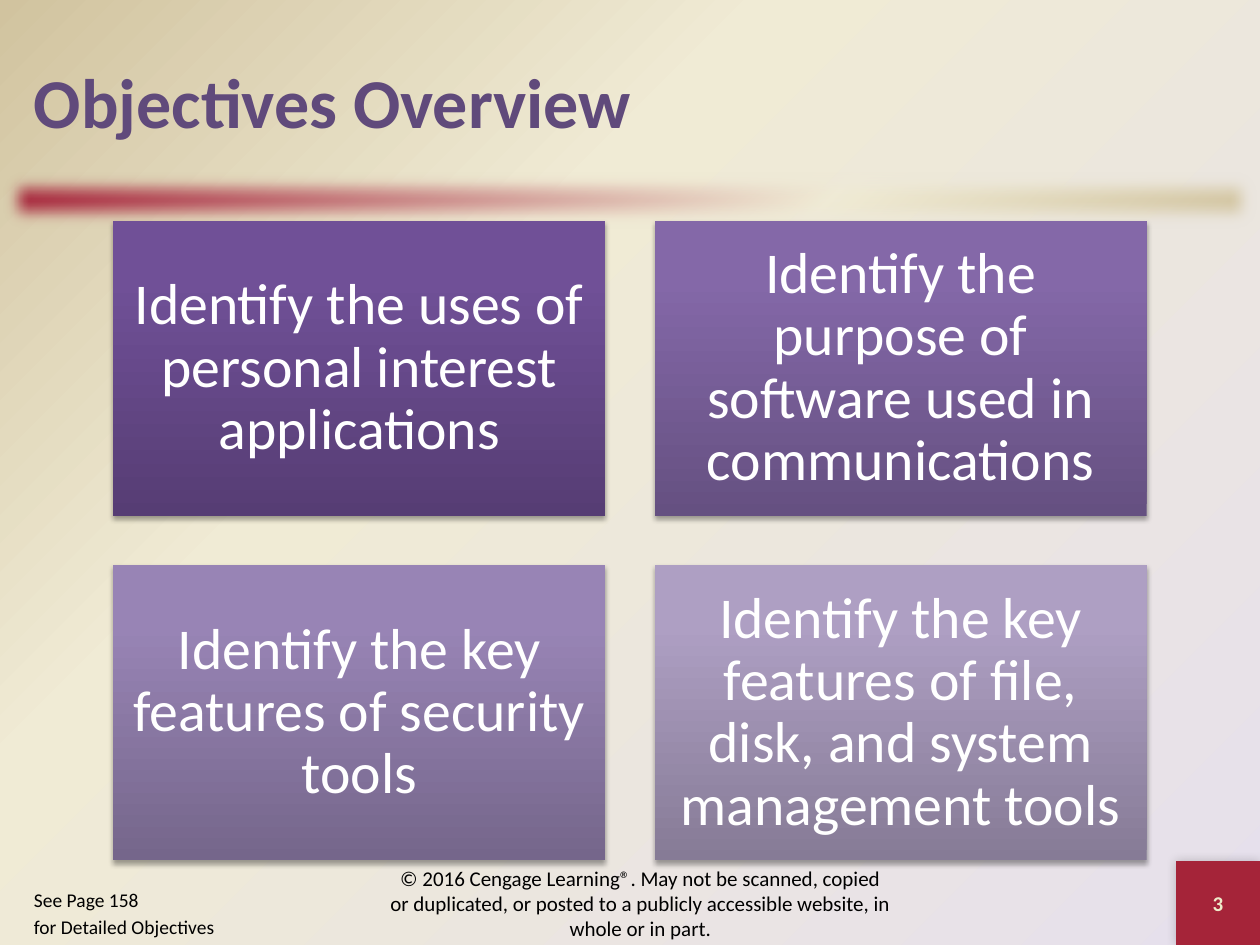
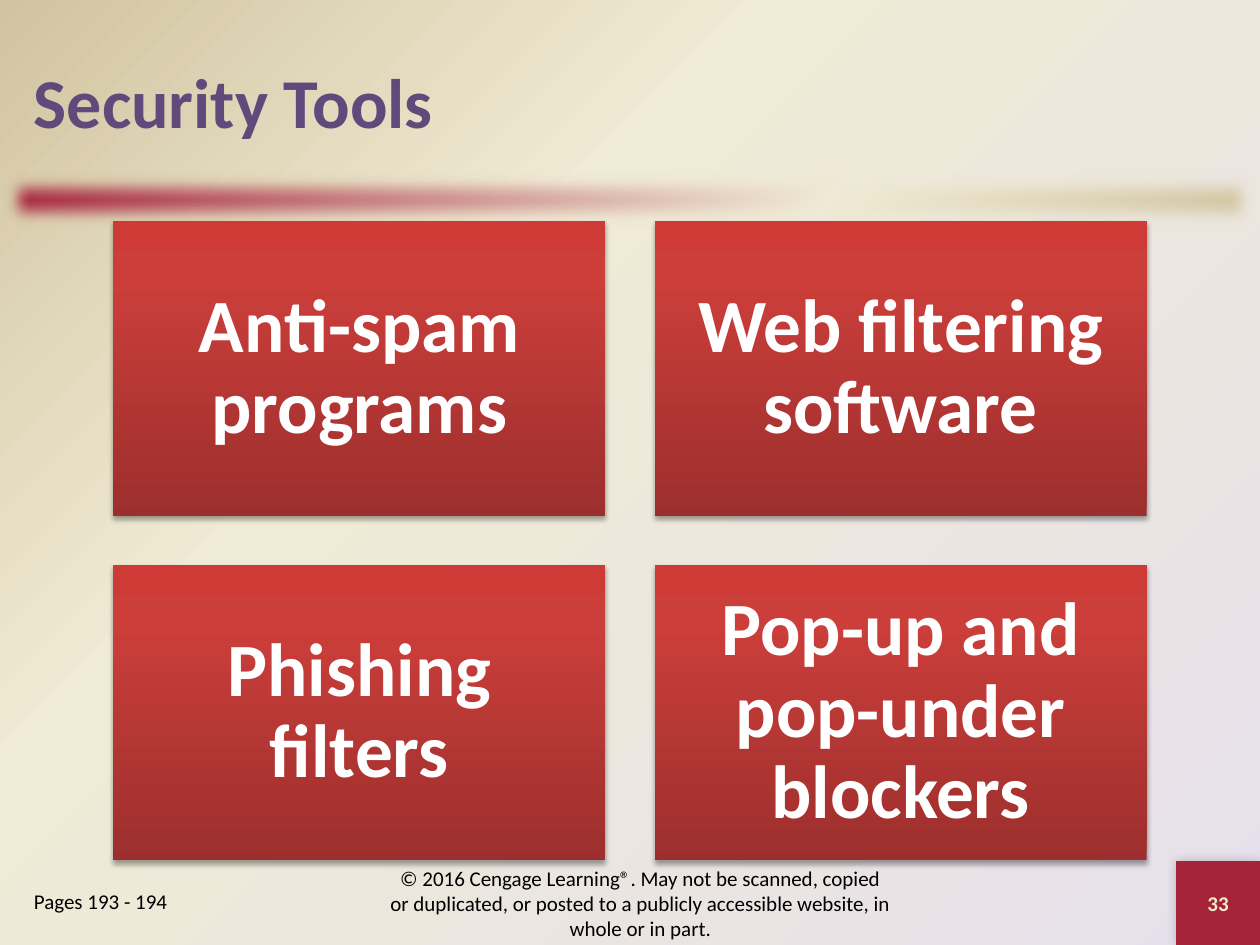
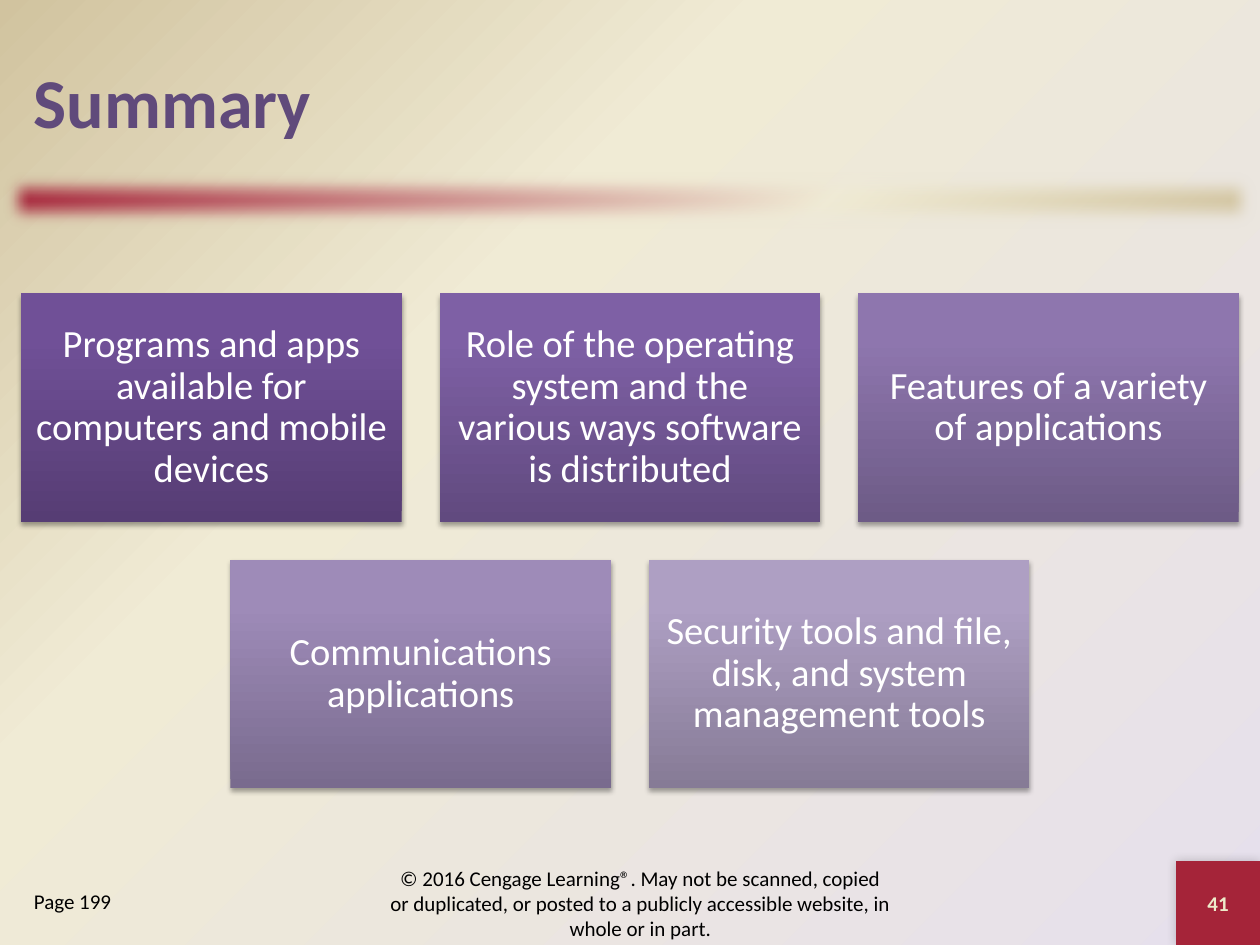
from dataclasses import dataclass
from typing import Optional

from lxml.etree import SubElement
from pptx import Presentation
from pptx.dml.color import RGBColor
from pptx.enum.shapes import MSO_SHAPE
from pptx.enum.text import MSO_ANCHOR, MSO_AUTO_SIZE, PP_ALIGN
from pptx.oxml.ns import qn
from pptx.util import Cm, Pt

Stops = tuple[tuple[int, str], ...]


def tile_stops(bottom: str, middle: str, top: str) -> Stops:
    return ((0, bottom), (80, middle), (100, top))


@dataclass(frozen=True)
class Theme:
    font: str = "Calibri"
    title_color: str = "604A7B"
    accent: str = "A52439"
    number_color: str = "EEEBCA"
    text_color: str = "000000"
    tile_text: str = "FFFFFF"
    title_size: float = 40
    footer_size: float = 12
    background: Stops = ((0, "E6E0EC"), (65, "F0EBD5"), (100, "D1C39F"))
    band: Stops = ((0, "A52439"), (65, "F0EBD5"), (100, "D1C39F"))
    red: Stops = tile_stops("9C2F2D", "CB3E3A", "CE3B37")
    purples: tuple[Stops, ...] = (
        tile_stops("563D74", "705097", "704F99"),
        tile_stops("614A7F", "7E60A5", "7F60A7"),
        tile_stops("655081", "8468A8", "8467AA"),
        tile_stops("6D5B86", "8E76AE", "8E75B0"),
        tile_stops("75668B", "9884B5", "9984B7"),
        tile_stops("796B8E", "9E8BB8", "9E8BBA"),
        tile_stops("867B96", "AE9FC3", "AE9FC4"),
    )


THEME = Theme()
SLIDE_WIDTH, SLIDE_HEIGHT = 25.4, 19.05
TILES_MIDDLE = 10.9
TILE_ASPECT, TILE_GAP, TILE_INSET = 0.6, 0.1, 0.3
CORNER = 1.69
HANGING_INDENT = 0.95
COPYRIGHT = (
    "© 2016 Cengage Learning®. May not be scanned, copied or duplicated, "
    "or posted to a publicly accessible website, in whole or in part."
)


@dataclass(frozen=True)
class Box:
    """Position and size in centimetres."""
    left: float
    top: float
    width: float
    height: float

    def lengths(self) -> tuple[Cm, Cm, Cm, Cm]:
        return Cm(self.left), Cm(self.top), Cm(self.width), Cm(self.height)


@dataclass(frozen=True)
class Shadow:
    opacity: int
    blur: float
    distance: float
    angle: int


TITLE_BOX = Box(0.43, 0.43, 24.55, 3.18)
PAGES_BOX = Box(0.43, 17.78, 4.65, 1.27)
COPYRIGHT_BOX = Box(7.62, 17.57, 10.58, 1.27)
BAND_BOX = Box(0, 3.39, SLIDE_WIDTH, 1.27)
NUMBER_BOX = Box(SLIDE_WIDTH - CORNER, SLIDE_HEIGHT - CORNER, CORNER, CORNER)
TILE_SHADOW = Shadow(35, 3.1, 1.8, 90)
NUMBER_SHADOW = Shadow(20, 6, 0, 225)


@dataclass(frozen=True)
class TileSlide:
    title: str
    number: int
    pages: str
    columns: int
    tile_width: float
    text_size: float
    tiles: tuple[tuple[str, Stops], ...]
    bold: bool = False
    pages_size: float = THEME.footer_size


SLIDES = (
    TileSlide(
        "Objectives Overview", 3, "See Page 158\nfor Detailed Objectives",
        columns=2, tile_width=9.92, text_size=33, pages_size=11.1,
        tiles=(
            ("Identify the uses of personal interest applications", THEME.purples[0]),
            ("Identify the purpose of software used in communications", THEME.purples[2]),
            ("Identify the key features of security tools", THEME.purples[4]),
            ("Identify the key features of file, disk, and system management tools",
             THEME.purples[6]),
        ),
    ),
    TileSlide(
        "Security Tools", 33, "Pages 193 - 194",
        columns=2, tile_width=9.92, text_size=43, bold=True,
        tiles=tuple((text, THEME.red) for text in (
            "Anti-spam programs", "Web filtering software",
            "Phishing filters", "Pop-up and pop-under blockers",
        )),
    ),
    TileSlide(
        "Summary", 41, "Page 199",
        columns=3, tile_width=7.67, text_size=22,
        tiles=(
            ("Programs and apps available for computers and mobile devices",
             THEME.purples[0]),
            ("Role of the operating system and the various ways software is distributed",
             THEME.purples[1]),
            ("Features of a variety of applications", THEME.purples[3]),
            ("Communications applications", THEME.purples[5]),
            ("Security tools and file, disk, and system management tools",
             THEME.purples[6]),
        ),
    ),
)


def apply_gradient(fill, holder, stops: Stops, angle: Optional[int] = None) -> None:
    """Fill with any number of stops: linear at an angle, else round from the lower right."""
    fill.gradient()
    gradient = next(holder.iter(qn("a:gradFill")))
    gradient.clear()
    stop_list = SubElement(gradient, qn("a:gsLst"))
    for position, color in stops:
        stop = SubElement(stop_list, qn("a:gs"), pos=str(position * 1000))
        SubElement(stop, qn("a:srgbClr"), val=color)
    if angle is None:
        circle = SubElement(gradient, qn("a:path"), path="circle")
        SubElement(circle, qn("a:fillToRect"), l="100000", t="100000")
    else:
        SubElement(gradient, qn("a:lin"), ang=str(angle * 60000), scaled="0")


def add_effect(shape, name: str, **attributes: str):
    effects = shape.element.spPr.find(qn("a:effectLst"))
    return SubElement(effects, qn(name), **attributes)


def add_shadow(shape, shadow: Shadow) -> None:
    effect = add_effect(
        shape, "a:outerShdw", blurRad=str(Pt(shadow.blur)),
        dist=str(Pt(shadow.distance)), dir=str(shadow.angle * 60000), rotWithShape="0",
    )
    color = SubElement(effect, qn("a:srgbClr"), val="000000")
    SubElement(color, qn("a:alpha"), val=str(shadow.opacity * 1000))


def add_rectangle(slide, box: Box):
    shape = slide.shapes.add_shape(MSO_SHAPE.RECTANGLE, *box.lengths())
    shape.line.fill.background()
    shape.shadow.inherit = False
    return shape


def write_text(
    shape, text: str, *, size: float, color: str = THEME.text_color,
    bold: bool = False, align: PP_ALIGN = PP_ALIGN.CENTER,
    anchor: MSO_ANCHOR = MSO_ANCHOR.MIDDLE, line_spacing: float = 1.0,
    inset: Optional[float] = None, hanging: float = 0,
) -> None:
    frame = shape.text_frame
    frame.text = text
    frame.word_wrap = True
    frame.auto_size = MSO_AUTO_SIZE.NONE
    frame.vertical_anchor = anchor
    if inset is not None:
        frame.margin_left = frame.margin_right = Pt(inset)
        frame.margin_top = frame.margin_bottom = Pt(inset)
    for index, paragraph in enumerate(frame.paragraphs):
        paragraph.alignment = align
        paragraph.line_spacing = line_spacing
        paragraph.space_before = Pt(round(0.2 * size, 1) if index else 0)
        if hanging:
            properties = paragraph._p.get_or_add_pPr()
            properties.set("marL", str(Cm(hanging)))
            properties.set("indent", str(-Cm(hanging)))
            SubElement(properties, qn("a:buNone"))
        for run in paragraph.runs:
            run.font.name = THEME.font
            run.font.size = Pt(size)
            run.font.bold = bold
            run.font.color.rgb = RGBColor.from_string(color)


def place(shape, box: Box):
    shape.left, shape.top, shape.width, shape.height = box.lengths()
    return shape


def add_text_box(slide, box: Box, text: str, **text_format) -> None:
    write_text(slide.shapes.add_textbox(*box.lengths()), text, **text_format)


def decorate_layout(layout, slide) -> None:
    """Draw the band and number square on a slide, then move them to its layout."""
    apply_gradient(layout.background.fill, layout.element, THEME.background)
    for placeholder in list(layout.placeholders):
        if placeholder.placeholder_format.idx >= 10:
            layout.shapes.element.remove(placeholder.element)

    band = add_rectangle(slide, BAND_BOX)
    apply_gradient(band.fill, band.element, THEME.band, 45)
    add_effect(band, "a:softEdge", rad=str(Pt(10)))

    square = add_rectangle(slide, NUMBER_BOX)
    square.fill.solid()
    square.fill.fore_color.rgb = RGBColor.from_string(THEME.accent)
    add_shadow(square, NUMBER_SHADOW)

    for shape in (square, band):
        layout.shapes.element.insert(2, shape.element)


def add_tiles(slide, content: TileSlide) -> None:
    """Lay out rows of tiles, each row centred, the whole block centred on TILES_MIDDLE."""
    width = content.tile_width
    height, gap = width * TILE_ASPECT, width * TILE_GAP
    rows = [content.tiles[start:start + content.columns]
            for start in range(0, len(content.tiles), content.columns)]
    top = TILES_MIDDLE - (len(rows) * (height + gap) - gap) / 2
    for row_index, row in enumerate(rows):
        left = (SLIDE_WIDTH - len(row) * (width + gap) + gap) / 2
        for column, (text, stops) in enumerate(row):
            tile = add_rectangle(slide, Box(
                left + column * (width + gap), top + row_index * (height + gap),
                width, height,
            ))
            apply_gradient(tile.fill, tile.element, stops, 270)
            add_shadow(tile, TILE_SHADOW)
            write_text(
                tile, text, size=content.text_size, color=THEME.tile_text,
                bold=content.bold, line_spacing=0.9,
                inset=content.text_size * TILE_INSET,
            )


def fill_slide(slide, content: TileSlide) -> None:
    write_text(
        place(slide.shapes.title, TITLE_BOX), content.title, size=THEME.title_size,
        color=THEME.title_color, bold=True, align=PP_ALIGN.LEFT,
    )
    add_tiles(slide, content)
    write_text(
        place(slide.placeholders[1], PAGES_BOX), content.pages, size=content.pages_size,
        align=PP_ALIGN.LEFT, anchor=MSO_ANCHOR.TOP, hanging=HANGING_INDENT,
    )
    add_text_box(slide, NUMBER_BOX, str(content.number), size=THEME.footer_size,
                 color=THEME.number_color, bold=True)
    add_text_box(slide, COPYRIGHT_BOX, COPYRIGHT, size=THEME.footer_size)


def main() -> None:
    presentation = Presentation()
    presentation.slide_width = Cm(SLIDE_WIDTH)
    presentation.slide_height = Cm(SLIDE_HEIGHT)
    layout = presentation.slide_layouts[1]
    slides = [presentation.slides.add_slide(layout) for _ in SLIDES]
    decorate_layout(layout, slides[0])
    for slide, content in zip(slides, SLIDES):
        fill_slide(slide, content)
    presentation.save("out.pptx")


if __name__ == "__main__":
    main()
